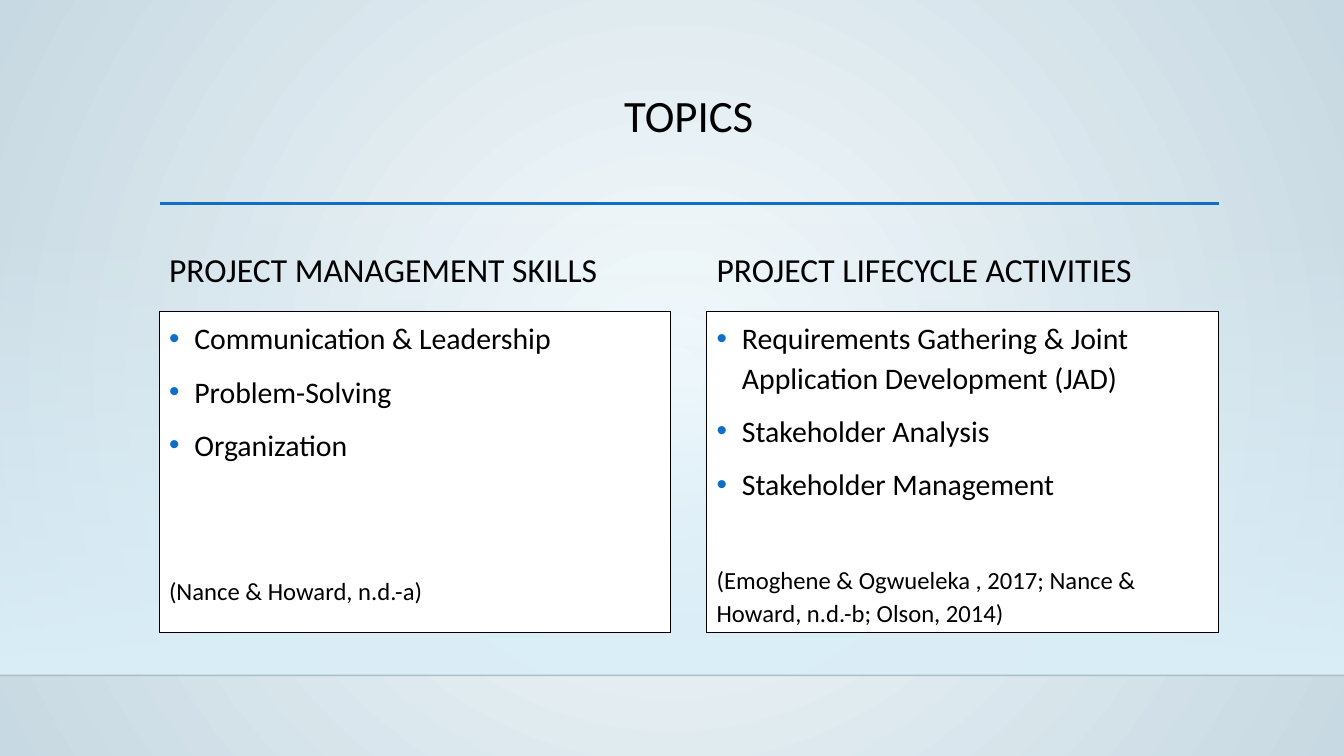
import pptx
import pptx.util
import pptx.oxml
import pptx.oxml.ns
import pptx.dml.color
import pptx.enum.shapes
import pptx.enum.text

Cm, Pt = pptx.util.Cm, pptx.util.Pt
ANCHOR = pptx.enum.text.MSO_ANCHOR
qn = pptx.oxml.ns.qn

TITLE = "TOPICS"
COLUMNS = [
    {
        "heading": "PROJECT MANAGEMENT SKILLS",
        "bullets": ["Communication & Leadership", "Problem-Solving", "Organization"],
        "citation": "(Nance & Howard, n.d.-a)",
        "citation_gap": 79,
    },
    {
        "heading": "PROJECT LIFECYCLE ACTIVITIES",
        "bullets": [
            "Requirements Gathering & Joint Application Development (JAD)",
            "Stakeholder Analysis",
            "Stakeholder Management",
        ],
        "citation": "(Emoghene & Ogwueleka , 2017; Nance & Howard, n.d.-b; Olson, 2014)",
        "citation_gap": 43,
    },
]
COLORS = {
    "text": "000000",
    "panel": "FFFFFF",
    "accent": "0F6FC6",
    "band": "DBEFF9",
    "glow": "F6FBFD",
    "edge": "C7D9E2",
    "horizon": "000001",
}
FONT = "Calibri"
SLIDE_W, SLIDE_H = 33.87, 19.05
LEFT, COLUMN_W, COLUMN_STEP = 4.01, 12.9, 13.8
BAND_TOP, BAND_BOTTOM = 5.61, 17.02


def rgb(name):
    return pptx.dml.color.RGBColor.from_string(COLORS[name])


def add_xml(parent, tag, **attrs):
    child = pptx.oxml.parse_xml(f"<{tag} {pptx.oxml.ns.nsdecls('a')}/>")
    for key, value in attrs.items():
        child.set(key, str(value))
    parent.append(child)
    return child


def set_gradient(fill, first, last):
    fill.gradient()
    for stop, name, position in zip(fill.gradient_stops, (first, last), (0, 1)):
        stop.color.rgb = rgb(name)
        stop.position = position


def add_rule(shapes, x1, x2, y, color, width, alpha=None):
    line = shapes.add_connector(
        pptx.enum.shapes.MSO_CONNECTOR.STRAIGHT, Cm(x1), Cm(y), Cm(x2), Cm(y))
    line.line.color.rgb = rgb(color)
    line.line.width = Pt(width)
    if alpha is not None:
        add_xml(line.element.find(".//" + qn("a:srgbClr")), "a:alpha", val=alpha)
    add_xml(line.element.spPr, "a:effectLst")


def write(p, text, size, before=0, spacing=1.0):
    p.space_before = Pt(before)
    p.line_spacing = spacing
    r = p.add_run()
    r.text = text
    r.font.name = FONT
    r.font.size = Pt(size)
    r.font.color.rgb = rgb("text")


def add_bullet(p):
    pPr = p._p.get_or_add_pPr()
    pPr.set("marL", str(Cm(0.64)))
    pPr.set("indent", str(-Cm(0.64)))
    add_xml(add_xml(pPr, "a:buClr"), "a:srgbClr", val=COLORS["accent"])
    add_xml(pPr, "a:buFont", typeface="Arial")
    add_xml(pPr, "a:buChar", char="•")


def add_column(shapes, x, column):
    heading = shapes.add_textbox(Cm(x), Cm(6.07), Cm(COLUMN_W), Cm(2.24))
    tf = heading.text_frame
    tf.word_wrap = True
    tf.vertical_anchor = ANCHOR.BOTTOM
    tf.margin_bottom = Cm(1.02)
    write(tf.paragraphs[0], column["heading"], 24, 10)

    panel = shapes.add_shape(
        pptx.enum.shapes.MSO_SHAPE.RECTANGLE, Cm(x), Cm(7.85), Cm(COLUMN_W), Cm(8.08))
    panel.shadow.inherit = False
    panel.fill.solid()
    panel.fill.fore_color.rgb = rgb("panel")
    panel.line.color.rgb = rgb("text")
    panel.line.width = Pt(0.75)
    tf = panel.text_frame
    tf.word_wrap = True
    tf.vertical_anchor = ANCHOR.TOP
    for i, text in enumerate(column["bullets"]):
        p = tf.add_paragraph() if i else tf.paragraphs[0]
        write(p, text, 21.3, 10, 1.1)
        add_bullet(p)
    write(tf.add_paragraph(), column["citation"], 17.6, column["citation_gap"], 1.1)
    for p in tf.paragraphs:
        p.alignment = pptx.enum.text.PP_ALIGN.LEFT


def main():
    prs = pptx.Presentation()
    prs.slide_width, prs.slide_height = Cm(SLIDE_W), Cm(SLIDE_H)
    s = prs.slides.add_slide(prs.slide_layouts[5])

    set_gradient(s.background.fill, "glow", "edge")
    grad = s.element.find(".//" + qn("a:gradFill"))
    grad.remove(grad.find(qn("a:lin")))
    add_xml(add_xml(grad, "a:path", path="circle"), "a:fillToRect",
            l=50000, t=50000, r=50000, b=50000)

    band = s.shapes.add_shape(
        pptx.enum.shapes.MSO_SHAPE.RECTANGLE,
        0, Cm(BAND_TOP), Cm(SLIDE_W), Cm(BAND_BOTTOM - BAND_TOP))
    band.shadow.inherit = False
    band.line.fill.background()
    set_gradient(band.fill, "band", "band")
    band.fill.gradient_angle = 270
    add_xml(band.element.spPr.find(".//" + qn("a:srgbClr")), "a:alpha", val=0)

    add_rule(s.shapes, 0, SLIDE_W, BAND_BOTTOM, "horizon", 1, 20000)
    add_rule(s.shapes, 4.04, 30.73, 5.13, "accent", 2.5)

    title = s.shapes.title
    title.left, title.top, title.width, title.height = Cm(LEFT), Cm(2.24), Cm(26.7), Cm(2.95)
    tf = title.text_frame
    tf.auto_size = pptx.enum.text.MSO_AUTO_SIZE.NONE
    tf.vertical_anchor = ANCHOR.TOP
    write(tf.paragraphs[0], TITLE, 32, spacing=0.9)
    tf.paragraphs[0].alignment = pptx.enum.text.PP_ALIGN.CENTER

    for i, column in enumerate(COLUMNS):
        add_column(s.shapes, LEFT + i * COLUMN_STEP, column)

    prs.save("out.pptx")


if __name__ == "__main__":
    main()
